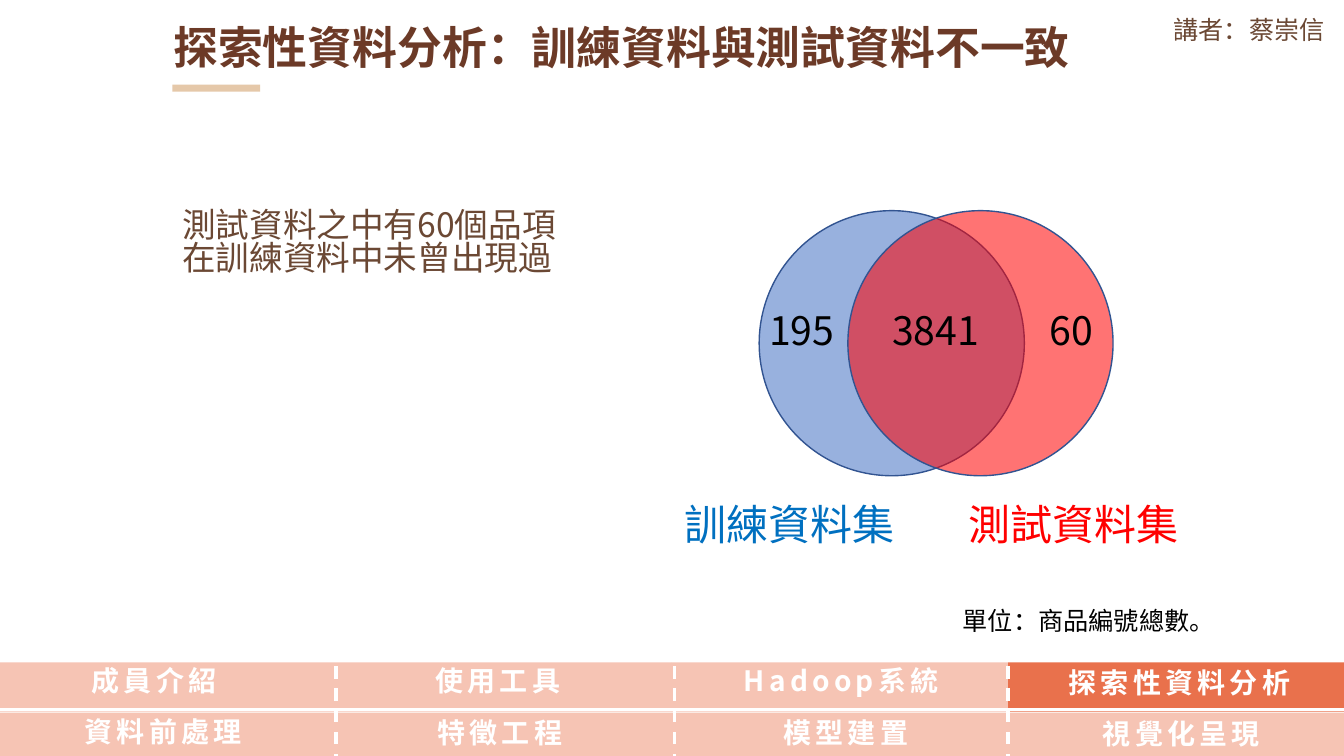
"""Builds the slide on mismatched training and test data."""
from lxml import etree
from pptx import Presentation
from pptx.dml.color import RGBColor
from pptx.enum.dml import MSO_LINE
from pptx.enum.shapes import MSO_CONNECTOR, MSO_SHAPE
from pptx.oxml.ns import qn
from pptx.util import Inches, Pt

RECT, OVAL = MSO_SHAPE.RECTANGLE, MSO_SHAPE.OVAL
STRAIGHT, DASH = MSO_CONNECTOR.STRAIGHT, MSO_LINE.DASH
SC, TC = "Noto Sans CJK SC", "Noto Sans CJK TC"
TITLE_BROWN = RGBColor(0x6C, 0x3A, 0x27)
BROWN = RGBColor(0x6B, 0x48, 0x34)
SAND = RGBColor(0xE5, 0xC8, 0xA9)
BLUE = RGBColor(0x44, 0x72, 0xC4)
NAVY = RGBColor(0x32, 0x54, 0x91)
LABEL_BLUE = RGBColor(0x00, 0x70, 0xC0)
RED = RGBColor(0xFF, 0x00, 0x00)
BLACK = RGBColor(0x00, 0x00, 0x00)
WHITE = RGBColor(0xFF, 0xFF, 0xFF)
PEACH = RGBColor(0xF6, 0xC4, 0xB4)
ORANGE = RGBColor(0xE9, 0x71, 0x4C)

TITLE = dict(size=Pt(32), name=SC, bold=True)
BODY = dict(size=Pt(24), name=TC)
SPEAKER = dict(size=Pt(18), name=TC)
COUNT = dict(size=Pt(28), name=SC)
SET_NAME = dict(size=Pt(30), name=SC)
UNIT = dict(size=Pt(18), name=SC)
NAV = dict(size=Pt(20), name=SC, bold=True)

TEXTS = [
    (["探索性資料分析：訓練資料與測試資料不一致"], (1.62, 0.21, 9.16, 0.64), TITLE, TITLE_BROWN),
    (["講者：蔡崇信"], (11.54, 0.13, 1.72, 0.4), SPEAKER, BROWN),
    (["3841"], (8.75, 3.04, 1.11, 0.57), COUNT, BLACK),
    (["195"], (7.53, 3.04, 0.89, 0.57), COUNT, BLACK),
    (["60"], (10.31, 3.04, 0.66, 0.57), COUNT, BLACK),
    (["訓練資料集"], (6.69, 4.95, 2.31, 0.61), SET_NAME, LABEL_BLUE),
    (["測試資料集"], (9.51, 4.95, 2.31, 0.61), SET_NAME, RED),
    (["單位：商品編號總數。"], (9.45, 5.99, 2.73, 0.4), UNIT, BLACK),
]
FINDING = ["測試資料之中有60個品項", "在訓練資料中未曾出現過"]
CIRCLES = [(7.53, BLUE), (8.41, RED)]
NAV_ROWS = [
    (6.57, 0.49, [("成員介紹", 0.81, 6.57, 1.49), ("使用工具", 4.22, 6.57, 1.49),
                  ("Hadoop系統", 7.28, 6.57, 2.2), ("探索性資料分析", 10.5, 6.59, 2.46)]),
    (7.07, 0.43, [("資料前處理", 0.74, 7.08, 1.81), ("特徵工程", 4.24, 7.09, 1.49),
                  ("模型建置", 7.67, 7.09, 1.49), ("視覺化呈現", 10.84, 7.1, 1.81)]),
]
CURRENT = "探索性資料分析"
WIDTH, HEIGHT = 13.33, 7.5
CELL = WIDTH / 4

prs = Presentation()
prs.slide_width, prs.slide_height = Inches(WIDTH), Inches(HEIGHT)
s = prs.slides.add_slide(prs.slide_layouts[6])


def add_text(lines, box, style, color, wrap=False, spacing=0.9, tracking=0):
    tf = s.shapes.add_textbox(*map(Inches, box)).text_frame
    tf.word_wrap = wrap
    for i, line in enumerate(lines):
        p = tf.add_paragraph() if i else tf.paragraphs[0]
        p.line_spacing = spacing
        r = p.add_run()
        r.text = line
        for key, value in style.items():
            setattr(r.font, key, value)
        r.font.color.rgb = color
        rpr = r.font._element
        etree.SubElement(rpr, qn("a:ea")).set("typeface", style["name"])
        if tracking:
            rpr.set("spc", str(tracking * 100))


def add_shape(kind, box, color, alpha=None, outline=None):
    sp = s.shapes.add_shape(kind, *map(Inches, box))
    sp.shadow.inherit = False
    sp.fill.solid()
    sp.fill.fore_color.rgb = color
    if alpha:
        clr = sp._element.spPr.find(qn("a:solidFill"))[0]
        etree.SubElement(clr, qn("a:alpha")).set("val", str(alpha * 1000))
    if outline:
        sp.line.color.rgb = outline
        sp.line.width = Pt(1)
    else:
        sp.line.fill.background()


def add_line(x1, y1, x2, y2, dash=None):
    line = s.shapes.add_connector(STRAIGHT, *map(Inches, (x1, y1, x2, y2)))
    line.line.color.rgb = WHITE
    line.line.width = Pt(2.25)
    if dash:
        line.line.dash_style = dash
    etree.SubElement(line._element.spPr, qn("a:effectLst"))


add_shape(RECT, (1.71, 0.84, 0.87, 0.07), SAND)
for x, color in CIRCLES:
    add_shape(OVAL, (x, 2.09, 2.63, 2.63), color, 55, NAVY)
for text in TEXTS:
    add_text(*text)
add_text(FINDING, (1.71, 2.04, 3.94, 0.91), BODY, BROWN, wrap=True, spacing=0.82)

for top, height, items in NAV_ROWS:
    for col, (label, *_) in enumerate(items):
        add_shape(RECT, (col * CELL, top, CELL, height), ORANGE if label == CURRENT else PEACH)
for col in (1, 2, 3):
    x = 6.69 if col == 2 else col * CELL
    add_line(x, 6.39, x, HEIGHT, DASH)
add_line(0, 7.04, WIDTH, 7.04)
for top, height, items in NAV_ROWS:
    for label, x, y, width in items:
        add_text([label], (x, y, width, 0.4), NAV, WHITE, tracking=3)

prs.save("out.pptx")
